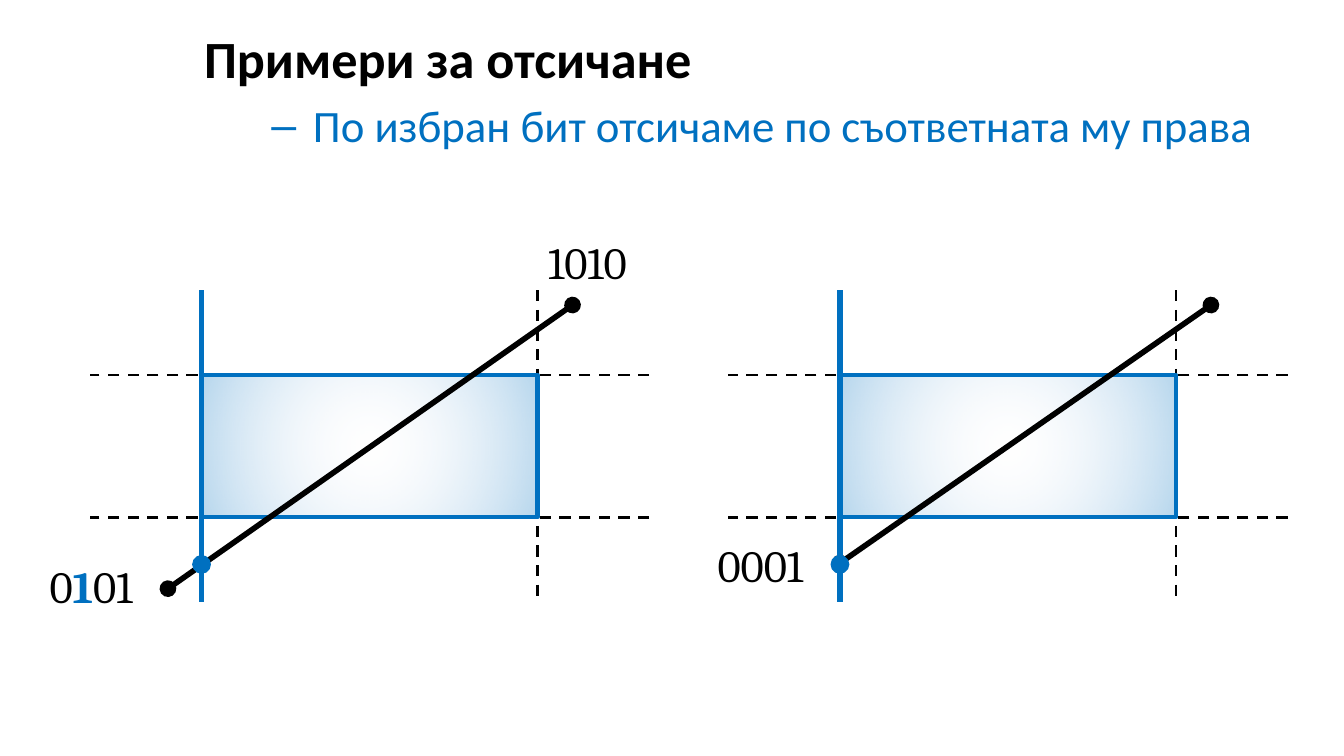
from lxml.etree import SubElement
from pptx import Presentation
from pptx.dml.color import RGBColor
from pptx.enum.dml import MSO_LINE
from pptx.enum.shapes import MSO_CONNECTOR, MSO_SHAPE
from pptx.oxml.ns import qn
from pptx.util import Inches, Pt

COLORS = {"black": "000000", "blue": "0070C0", "pale": "E1E8F5"}
HEADING = {"name": "Calibri", "size": Pt(28), "bold": True}
SUBHEADING = {"name": "Calibri", "size": Pt(24), "bold": False}
CODE = {"name": "Cambria", "size": Pt(24), "bold": False}
CHOSEN_BIT = {**CODE, "bold": True}

SLIDE_WIDTH = 10
SLIDE_HEIGHT = SLIDE_WIDTH * 9 / 16

# Clipping window, relative to its diagram
WINDOW_LEFT, WINDOW_TOP, WINDOW_WIDTH, WINDOW_HEIGHT = 0.83, 0.63, 2.5, 1.06
DOT = 0.14


def rgb(color):
    return RGBColor.from_string(COLORS[color])


def add_run(paragraph, text, color, formats):
    run = paragraph.add_run()
    run.text = text
    for name, value in formats.items():
        setattr(run.font, name, value)
    run.font.color.rgb = rgb(color)


def add_line(slide, start, end, color, width, dashed=False, ovals=False):
    line = slide.shapes.add_connector(
        MSO_CONNECTOR.STRAIGHT, *(Inches(value) for value in (*start, *end)))
    line.line.color.rgb = rgb(color)
    line.line.width = Pt(width)
    if dashed:
        line.line.dash_style = MSO_LINE.DASH
    if ovals:
        for tag in ("a:headEnd", "a:tailEnd"):
            SubElement(line.line._get_or_add_ln(), qn(tag), type="oval")
    SubElement(line._element.spPr, qn("a:effectLst"))


def add_label(slide, left, top, parts):
    box = slide.shapes.add_textbox(
        Inches(left), Inches(top), Inches(0.95), Inches(0.5))
    box.text_frame.word_wrap = False
    for text, color, formats in parts:
        add_run(box.text_frame.paragraphs[0], text, color, formats)


def fill_radial(shape):
    """Fade from a clear centre to a translucent blue edge."""
    shape.fill.gradient()
    stops = zip(shape.fill.gradient_stops, (("pale", 0, 0), ("blue", 1, 29)))
    for stop, (color, position, opacity) in stops:
        stop.color.rgb = rgb(color)
        stop.position = position
        color_element = stop._gs.find(qn("a:srgbClr"))
        SubElement(color_element, qn("a:alpha"), val=str(opacity * 1000))
    gradient = shape._element.spPr.find(qn("a:gradFill"))
    gradient.remove(gradient.find(qn("a:lin")))
    circle = SubElement(gradient, qn("a:path"), {"path": "circle"})
    SubElement(circle, qn("a:fillToRect"),
               {side: "50000" for side in "ltrb"})


def add_heading(slide, left, top, width, height):
    box = slide.shapes.add_textbox(
        Inches(left), Inches(top), Inches(width), Inches(height))
    frame = box.text_frame
    frame.word_wrap = True
    add_run(frame.paragraphs[0], "Примери за отсичане", "black", HEADING)

    # Dash bullet with a hanging indent
    paragraph = frame.add_paragraph()
    paragraph.level = 1
    paragraph.space_before = Pt(4.5)
    properties = paragraph._p.get_or_add_pPr()
    properties.set("marL", str(Inches(0.81)))
    properties.set("indent", str(Inches(-0.31)))
    SubElement(properties, qn("a:buFont"), typeface="Arial")
    SubElement(properties, qn("a:buChar"), char="–")
    add_run(paragraph, "По избран бит отсичаме по съответната му права",
            "blue", SUBHEADING)


def add_diagram(slide, left, top, width, height, segment_start, labels):
    window_left, window_top = left + WINDOW_LEFT, top + WINDOW_TOP
    window_right = window_left + WINDOW_WIDTH

    # Extended window edges
    add_line(slide, (window_right, top), (window_right, top + height),
             "black", 1.5, dashed=True)
    for y in (window_top + WINDOW_HEIGHT, window_top):
        add_line(slide, (left + width, y), (left, y), "black", 1.5, dashed=True)

    # Clipping window
    window = slide.shapes.add_shape(
        MSO_SHAPE.RECTANGLE, Inches(window_left), Inches(window_top),
        Inches(WINDOW_WIDTH), Inches(WINDOW_HEIGHT))
    window.shadow.inherit = False
    fill_radial(window)
    window.line.color.rgb = rgb("blue")
    window.line.width = Pt(2.25)

    # Segment and the codes of its ends
    start_x, start_y = segment_start
    add_line(slide, (left + 3.59, top + 0.11), (left + start_x, top + start_y),
             "black", 3, ovals=True)
    for x, y, parts in labels:
        add_label(slide, left + x, top + y, parts)

    # Clipping line and its crossing with the segment
    add_line(slide, (window_left, top), (window_left, top + height), "blue", 3)
    dot = slide.shapes.add_shape(
        MSO_SHAPE.OVAL, Inches(window_left - DOT / 2),
        Inches(top + 2.04 - DOT / 2), Inches(DOT), Inches(DOT))
    dot.shadow.inherit = False
    dot.fill.solid()
    dot.fill.fore_color.rgb = rgb("blue")
    dot.line.fill.background()


def main():
    presentation = Presentation()
    presentation.slide_width = Inches(SLIDE_WIDTH)
    presentation.slide_height = Inches(SLIDE_HEIGHT)
    slide = presentation.slides.add_slide(presentation.slide_layouts[6])

    add_heading(slide, 1.42, 0.15, 8.58, 5.17)

    before = [
        (-0.4, 1.95, [("0", "black", CODE), ("1", "blue", CHOSEN_BIT),
                      ("01", "black", CODE)]),
        (3.31, -0.46, [("1010", "black", CODE)]),
    ]
    after = [(-0.18, 1.79, [("0001", "black", CODE)])]
    diagrams = [((0.58, 2.22), before), ((WINDOW_LEFT, 2.03), after)]
    for index, (segment_start, labels) in enumerate(diagrams):
        add_diagram(slide, 0.67 + 4.75 * index, 2.16, 4.16, 2.32,
                    segment_start, labels)

    presentation.save("out.pptx")


if __name__ == "__main__":
    main()
